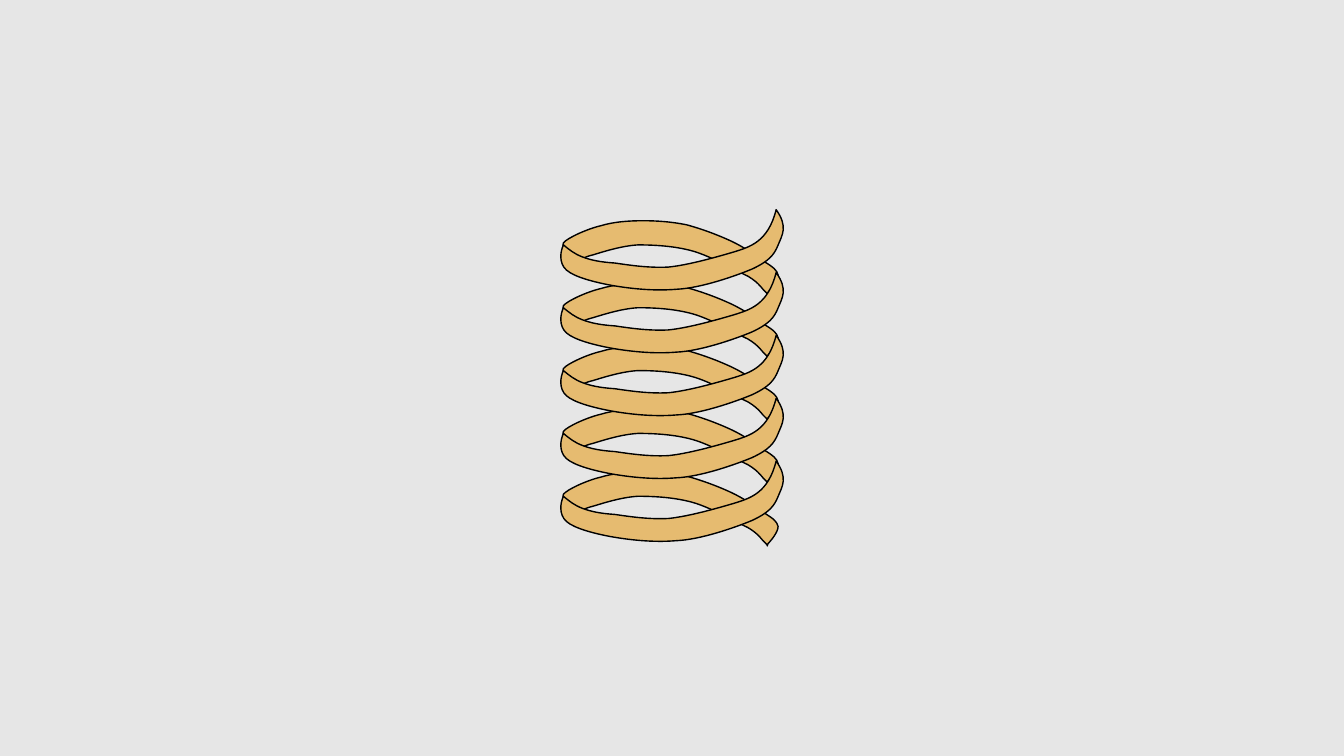
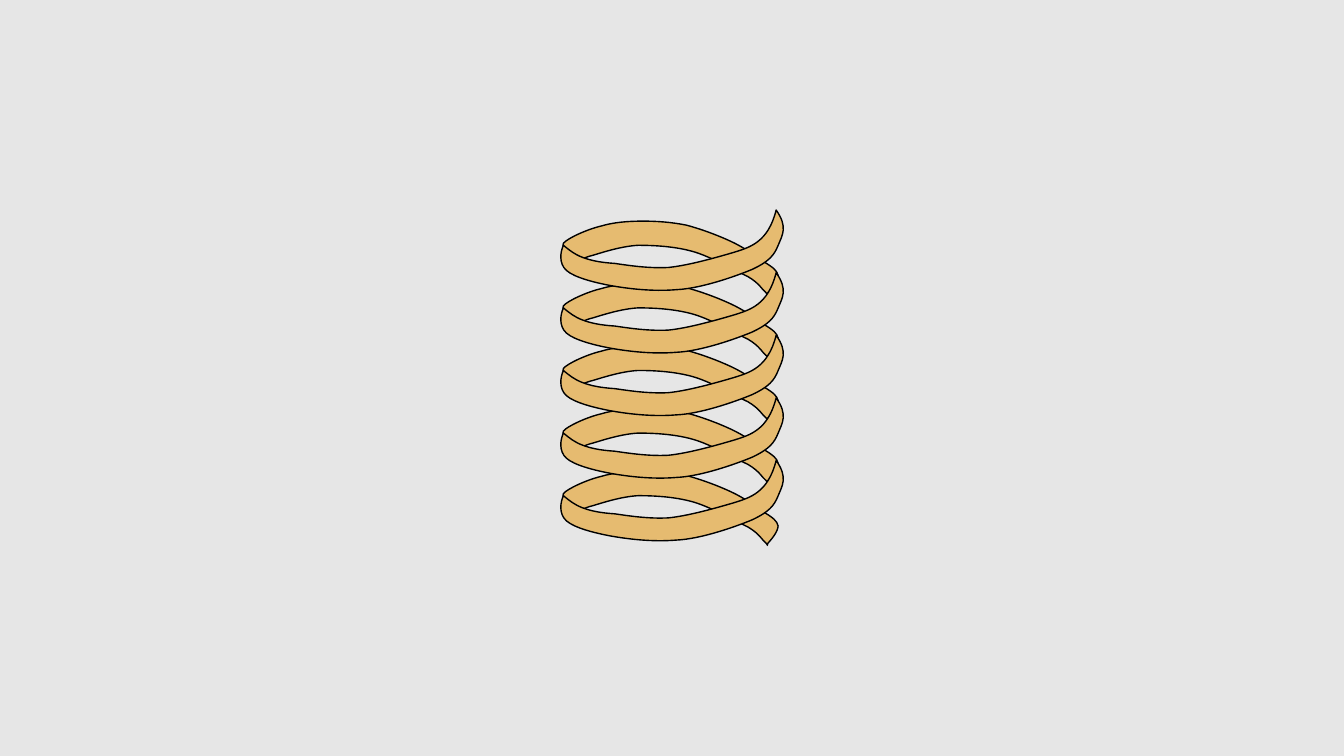
from lxml.etree import SubElement
from pptx import Presentation
from pptx.dml.color import RGBColor
from pptx.oxml.ns import qn
from pptx.util import Pt

BACKGROUND, GOLD, BLACK = "E6E6E6", "E6BB70", "000000"
TURNS = 5
UNIT = Pt(0.72)  # one step of the outline grid

# Outlines of the top turn: a start point, then three points per Bézier curve.
BACK_BAND = [
    (772, 273),
    (771, 268), (767, 265), (759, 260),
    (751, 254), (738, 245), (725, 239),
    (712, 233), (696, 227), (681, 223),
    (666, 220), (652, 219), (638, 219),
    (624, 219), (609, 220), (596, 224),
    (583, 227), (563, 236), (559, 241),
    (556, 247), (569, 254), (573, 256),
    (578, 258), (579, 255), (588, 253),
    (598, 250), (616, 244), (633, 243),
    (649, 243), (669, 244), (687, 249),
    (705, 254), (729, 268), (742, 274),
    (754, 281), (756, 287), (760, 290),
    (763, 293), (760, 293), (762, 290),
    (764, 288), (772, 279), (772, 273),
]
FRONT_BAND = [
    (770, 208),
    (782, 225), (776, 233), (772, 243),
    (768, 253), (763, 259), (746, 267),
    (729, 274), (695, 286), (671, 287),
    (647, 289), (623, 286), (606, 283),
    (590, 280), (570, 275), (562, 268),
    (554, 261), (556, 249), (559, 243),
    (565, 248), (570, 252), (578, 255),
    (586, 258), (595, 260), (610, 261),
    (624, 263), (643, 266), (663, 265),
    (683, 263), (711, 255), (728, 250),
    (744, 245), (762, 240), (770, 208),
]


def set_fill(fill, color):
    fill.solid()
    fill.fore_color.rgb = RGBColor.from_string(color)


def bend_segments(sp):
    """Turn every three straight segments into one cubic Bézier curve."""
    segments = list(sp._element.iter(qn("a:lnTo")))
    for i in range(0, len(segments), 3):
        curve = SubElement(segments[i].getparent(), qn("a:cubicBezTo"))
        segments[i].addprevious(curve)
        for segment in segments[i:i + 3]:
            curve.append(segment[0])
            segment.getparent().remove(segment)


def add_band(slide, outline, drop):
    """Draw one half turn, moved down by drop points."""
    builder = slide.shapes.build_freeform(*outline[0], scale=UNIT)
    builder.add_line_segments(outline[1:], close=True)
    sp = builder.convert_to_shape()
    bend_segments(sp)
    sp.top += Pt(drop)
    sp.shadow.inherit = False
    set_fill(sp.fill, GOLD)
    set_fill(sp.line.fill, BLACK)
    sp.line.width = Pt(1)
    return sp


def add_spring(slide, start, pitch):
    drops = [start + turn * pitch for turn in range(TURNS)]
    bands = [add_band(slide, BACK_BAND, drop) for drop in reversed(drops)]
    bands += [add_band(slide, FRONT_BAND, drop) for drop in drops]
    slide.shapes.add_group_shape(bands)


def main():
    prs = Presentation()
    prs.slide_width, prs.slide_height = Pt(960), Pt(540)
    set_fill(prs.slide_master.background.fill, BACKGROUND)
    blank = prs.slide_layouts[6]
    for start, pitch in [(0, 44.89), (0.29, 44.71)]:
        add_spring(prs.slides.add_slide(blank), start, pitch)
    prs.save("out.pptx")


if __name__ == "__main__":
    main()
